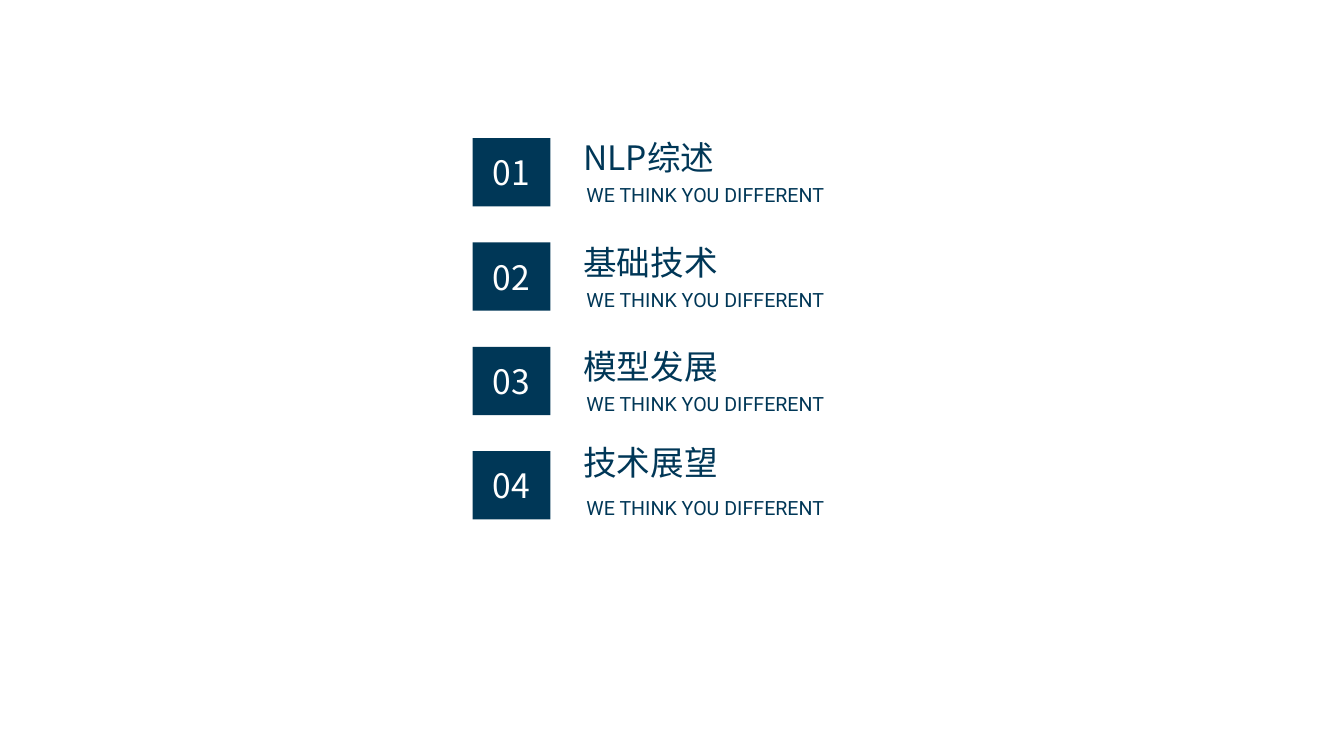
import pptx
import pptx.dml.color
import pptx.enum.shapes
import pptx.enum.text
import pptx.oxml.ns
import pptx.util
import lxml.etree

Cm = pptx.util.Cm
COLOURS = {"navy": "003757", "white": "FFFFFF"}
HEADINGS = ["NLP综述", "基础技术", "模型发展", "技术展望"]
CAPTION = "WE THINK YOU DIFFERENT"
ROW_PITCH = 2.63
LAST_HEADING_RAISE = 0.22


class AgendaSlide:
    heading_font = "Noto Sans CJK SC"
    caption_font = "Roboto"
    heading_size = 24
    caption_size = 14

    def __init__(self, deck):
        self.slide = deck.slides.add_slide(deck.slide_layouts[6])

    def colour(self, name):
        return pptx.dml.color.RGBColor.from_string(COLOURS[name])

    def style_text(self, frame, text, font_name, size, colour):
        """Fill the frame with one styled line, using the font for Chinese too."""
        frame.text = text
        span = frame.paragraphs[0].runs[0]
        span.font.name = font_name
        span.font.size = pptx.util.Pt(size)
        span.font.color.rgb = self.colour(colour)
        east_asian = lxml.etree.SubElement(
            span.font._element, pptx.oxml.ns.qn("a:ea"))
        east_asian.set("typeface", font_name)

    def number_tile(self, number, top):
        tile = self.slide.shapes.add_shape(
            pptx.enum.shapes.MSO_SHAPE.RECTANGLE,
            Cm(11.91), Cm(top), Cm(1.96), Cm(1.72))
        tile.shadow.inherit = False
        tile.fill.solid()
        tile.fill.fore_color.rgb = self.colour("navy")
        tile.line.fill.background()
        frame = tile.text_frame
        frame.vertical_anchor = pptx.enum.text.MSO_ANCHOR.MIDDLE
        self.style_text(frame, f"{number:02d}", self.heading_font,
                        self.heading_size, "white")
        frame.paragraphs[0].alignment = pptx.enum.text.PP_ALIGN.CENTER

    def text_line(self, text, left, top, width, height, font_name, size):
        box = self.slide.shapes.add_textbox(
            Cm(left), Cm(top), Cm(width), Cm(height))
        frame = box.text_frame
        frame.word_wrap = True
        frame.auto_size = pptx.enum.text.MSO_AUTO_SIZE.SHAPE_TO_FIT_TEXT
        self.style_text(frame, text, font_name, size, "navy")

    def heading(self, text, top):
        self.text_line(text, 14.45, top, 8.3, 1.28,
                       self.heading_font, self.heading_size)

    def caption(self, text, top):
        self.text_line(text, 14.53, top, 8.8, 0.86,
                       self.caption_font, self.caption_size)


def main():
    deck = pptx.Presentation()
    deck.slide_width = Cm(33.87)
    deck.slide_height = Cm(19.05)
    agenda = AgendaSlide(deck)
    for index, heading in enumerate(HEADINGS):
        offset = index * ROW_PITCH
        is_last = index == len(HEADINGS) - 1
        agenda.number_tile(index + 1, 3.48 + offset)
        agenda.heading(heading, 3.33 + offset - LAST_HEADING_RAISE * is_last)
        agenda.caption(CAPTION, 4.49 + offset)
    deck.save("out.pptx")


if __name__ == "__main__":
    main()
